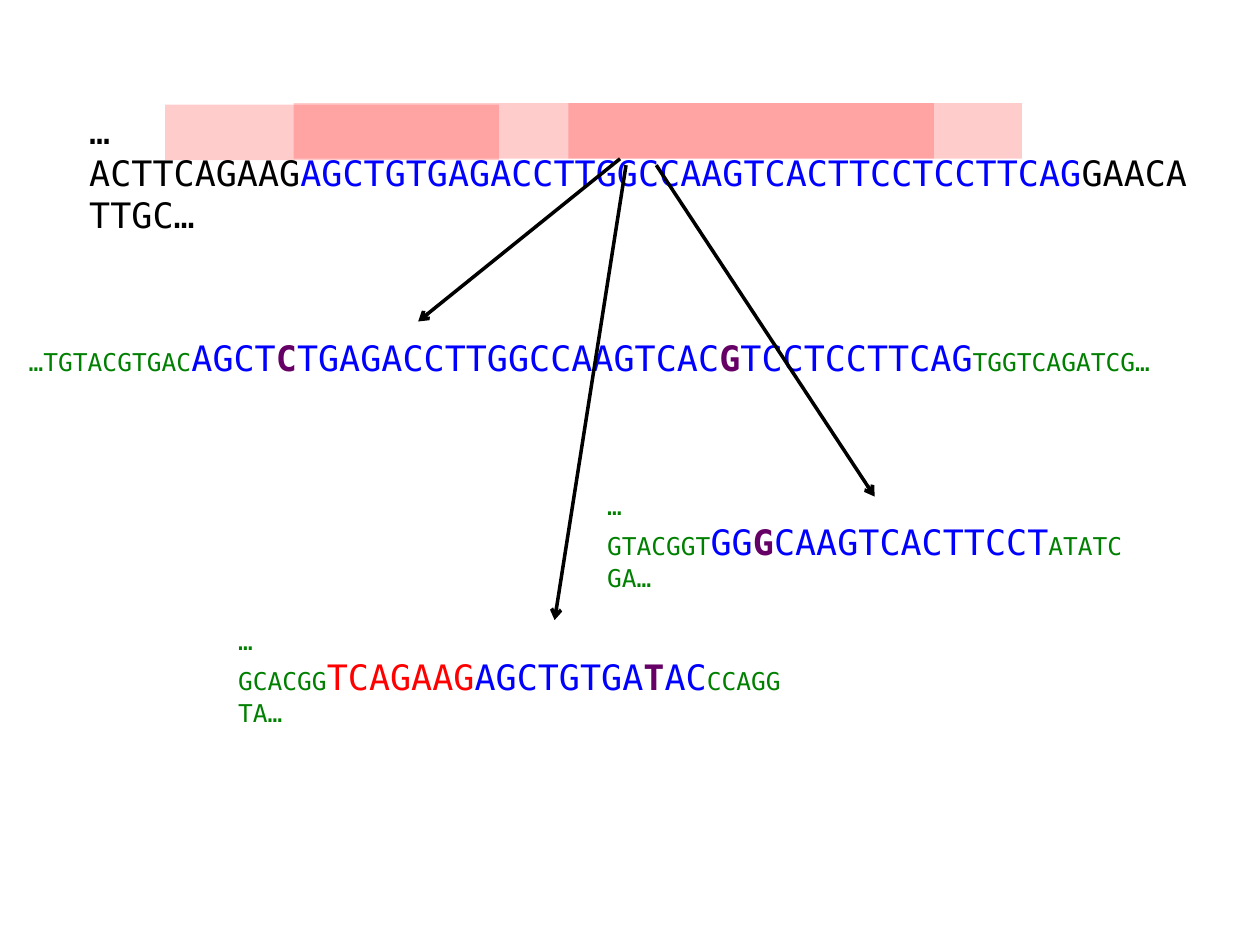
from dataclasses import dataclass

from lxml import etree
from pptx import Presentation
from pptx import util as u
from pptx.dml.color import RGBColor
from pptx.enum import shapes, text
from pptx.oxml import ns


@dataclass(frozen=True)
class Theme:
    font: str = "DejaVu Sans Mono"
    large: int = 20
    small: int = 14
    black: str = "000000"
    blue: str = "0000FF"
    green: str = "008000"
    purple: str = "660066"
    red: str = "FF0000"
    band_alpha: int = 20000
    arrow_width: int = 2


THEME = Theme()
ROW_HEIGHT = 1.12
STYLES = {
    "outside": dict(size=THEME.large, color=THEME.black, bold=False),
    "match": dict(size=THEME.large, color=THEME.blue, bold=False),
    "mutation": dict(size=THEME.large, color=THEME.purple, bold=True),
    "upstream": dict(size=THEME.large, color=THEME.red, bold=False),
    "flank": dict(size=THEME.small, color=THEME.green, bold=False),
}

REFERENCE = [
    ("outside", "…ACTTCAGAAG"),
    ("match", "AGCTGTGAGACCTTGGCCAAGTCACTTCCTCCTTCAG"),
    ("outside", "GAACATTGC…"),
]
BANDS = [(4.37, 0, 14.68), (9.91, 0, 7.37), (1.78, 0.03, 6.73)]

COPIES = [
    ((0.33, 6.65, 24.89), [
        ("flank", "…TGTACGTGAC"), ("match", "AGCT"), ("mutation", "C"),
        ("match", "TGAGACCTTGGCCAAGTCAC"), ("mutation", "G"),
        ("match", "TCCTCCTTCAG"), ("flank", "TGGTCAGATCG…"),
    ]),
    ((11.99, 9.78, 11.18), [
        ("flank", "…GTACGGT"), ("match", "GG"), ("mutation", "G"),
        ("match", "CAAGTCACTTCCT"), ("flank", "ATATCGA…"),
    ]),
    ((4.55, 12.5, 11.71), [
        ("flank", "…GCACGG"), ("upstream", "TCAGAAG"), ("match", "AGCTGTGA"),
        ("mutation", "T"), ("match", "AC"), ("flank", "CCAGGTA…"),
    ]),
]
ARROWS = [
    ((12.5, 3.2), (8.43, 6.48)),
    ((13.23, 3.33), (17.63, 10.01)),
    ((12.62, 3.33), (11.18, 12.5)),
]


def place(left, top, width):
    return [u.Cm(value) for value in (left, top, width, ROW_HEIGHT)]


def add_sequence(slide, box, segments):
    frame = slide.shapes.add_textbox(*place(*box)).text_frame
    frame_format = dict(word_wrap=True, auto_size=text.MSO_AUTO_SIZE.SHAPE_TO_FIT_TEXT)
    for name, value in frame_format.items():
        setattr(frame, name, value)
    for style, bases in segments:
        run = frame.paragraphs[0].add_run()
        run.text = bases
        look = STYLES[style]
        font_format = dict(name=THEME.font, size=u.Pt(look["size"]), bold=look["bold"])
        for name, value in font_format.items():
            setattr(run.font, name, value)
        run.font.color.rgb = RGBColor.from_string(look["color"])


def add_reference(slide, box):
    left, top, width = box
    add_sequence(slide, box, REFERENCE)
    for offset, drop, length in BANDS:
        band = slide.shapes.add_shape(
            shapes.MSO_SHAPE.RECTANGLE, *place(left + offset, top + drop, length))
        band.shadow.inherit = False
        band.line.fill.background()
        band.fill.solid()
        band.fill.fore_color.rgb = RGBColor.from_string(THEME.red)
        tint = band.fill._xPr.find(".//" + ns.qn("a:srgbClr"))
        etree.SubElement(tint, ns.qn("a:alpha"), val=str(THEME.band_alpha))


def add_arrow(slide, start, end):
    arrow = slide.shapes.add_connector(
        shapes.MSO_CONNECTOR.STRAIGHT, *[u.Cm(value) for value in start + end])
    arrow.line.width = u.Pt(THEME.arrow_width)
    arrow.line.color.rgb = RGBColor.from_string(THEME.black)
    etree.SubElement(arrow.line._get_or_add_ln(), ns.qn("a:tailEnd"), type="arrow")
    etree.SubElement(arrow._element.spPr, ns.qn("a:effectLst"))


def build():
    deck = Presentation()
    deck.slide_width, deck.slide_height = u.Cm(25.4), u.Cm(19.05)
    slide = deck.slides.add_slide(deck.slide_layouts[6])
    add_reference(slide, (1.55, 2.08, 23.01))
    for box, segments in COPIES:
        add_sequence(slide, box, segments)
    for start, end in ARROWS:
        add_arrow(slide, start, end)
    deck.save("out.pptx")


build()
